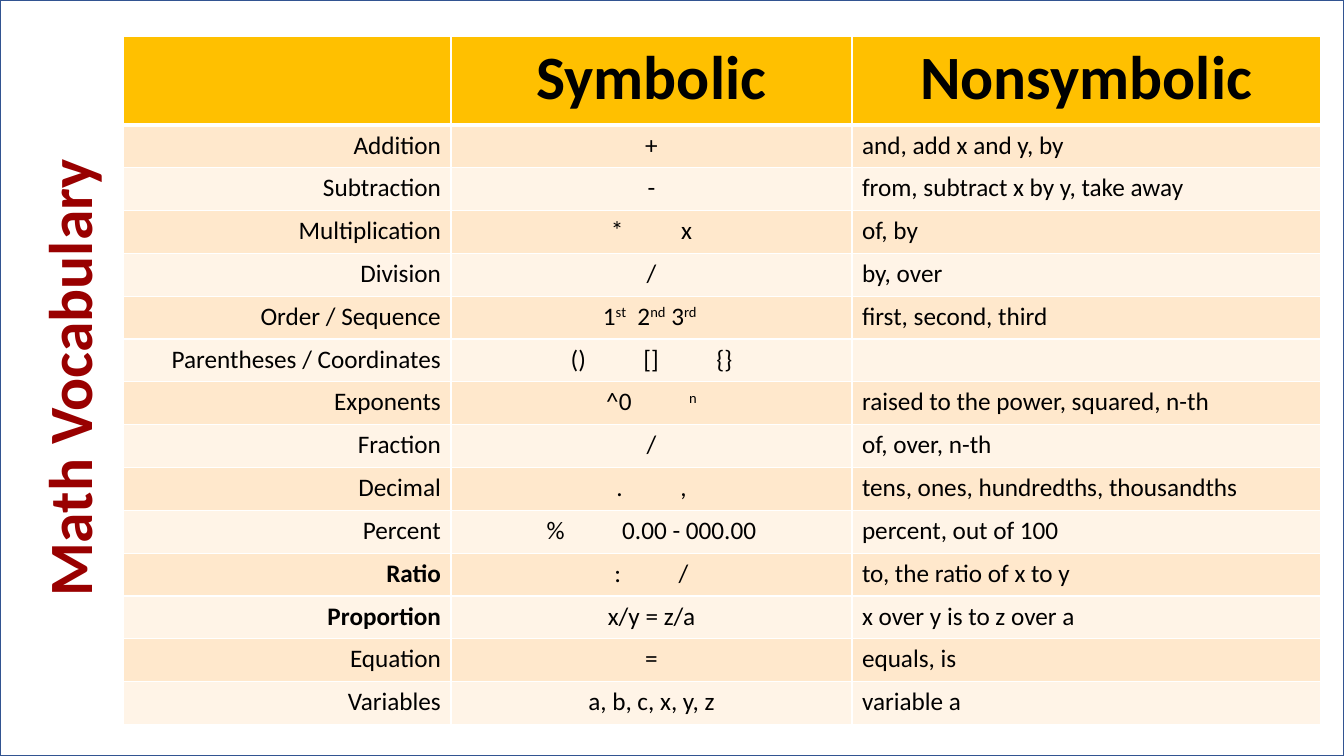
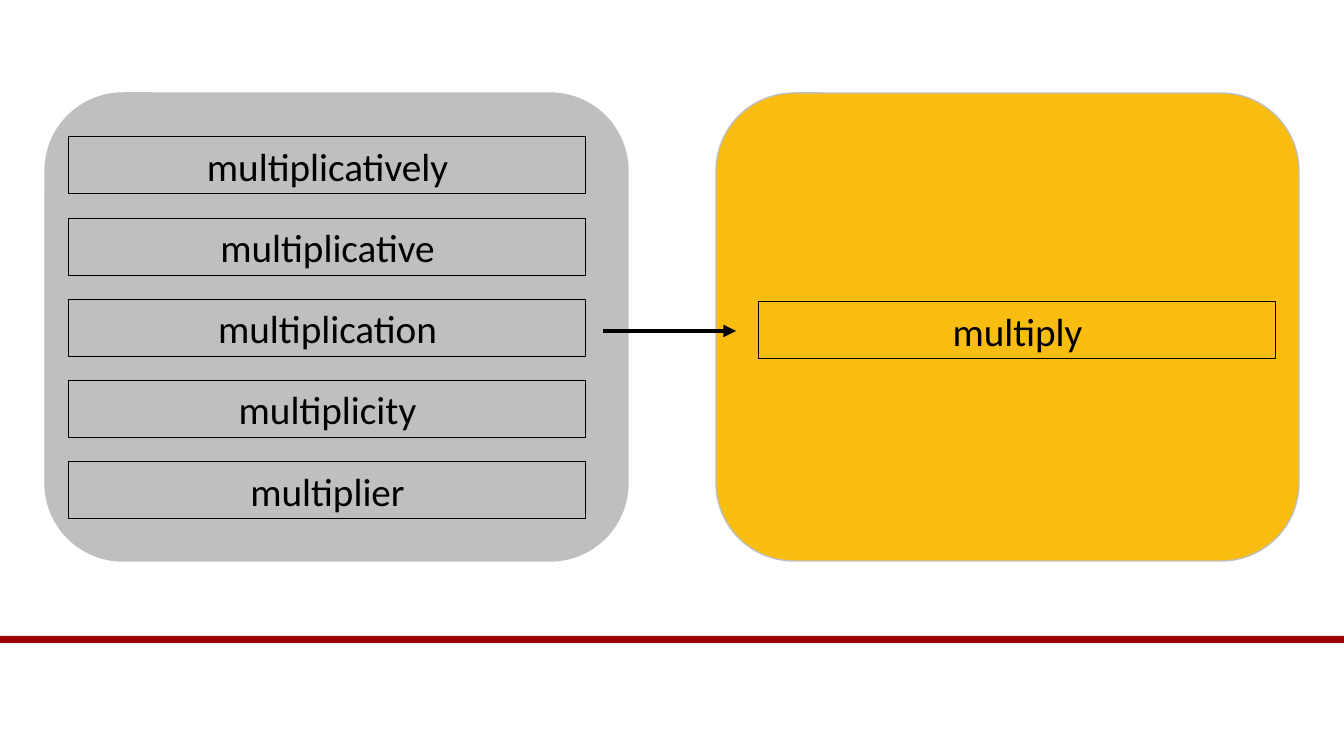
"""Builds a two-slide deck on mathematical vocabulary."""
import lxml.etree
import pptx
import pptx.dml.color
import pptx.enum.shapes
import pptx.enum.text
import pptx.oxml.ns
import pptx.util

EMU_PER_PX = 914400 / 100.8
SLIDE_WIDTH, SLIDE_HEIGHT = 1344, 756
FONT = "Calibri"
COLORS = {
    "red": "990000",
    "white": "FFFFFF",
    "black": "000000",
    "frame": "325491",
    "header": "FFC000",
    "band_dark": "FFE8CC",
    "band_light": "FFF4E7",
    "gray": "BFBFBF",
    "gold": "F9BC11",
}
ALIGN = pptx.enum.text.PP_ALIGN
SHAPE = pptx.enum.shapes.MSO_SHAPE

GAP = (" ", {"spacing": 37})
SMALL_GAP = (" ", {"spacing": 4})
RAISED = {"baseline": 30}
BOLD = {"bold": True}

HEADINGS = ["", "Symbolic", "Nonsymbolic"]
VOCABULARY = [
    ("Addition", "+", "and, add x and y, by"),
    ("Subtraction", "-", "from, subtract x by y, take away"),
    ("Multiplication", ["*", GAP, "x"], "of, by"),
    ("Division", "/", "by, over"),
    ("Order / Sequence",
     ["1", ("st", RAISED), SMALL_GAP, "2", ("nd", RAISED), " 3", ("rd ", RAISED)],
     "first, second, third"),
    ("Parentheses / Coordinates", ["()", GAP, "[]", GAP, "{}"], ""),
    ("Exponents", ["^0", GAP, ("n", RAISED)], "raised to the power, squared, n-th"),
    ("Fraction", "/", "of, over, n-th"),
    ("Decimal", [".", GAP, ","], "tens, ones, hundredths, thousandths"),
    ("Percent", ["%", GAP, "0.00 - 000.00"], "percent, out of 100"),
    ([("Ratio", BOLD)], [":", GAP, "/"], "to, the ratio of x to y"),
    ([("Proportion", BOLD)], "x/y = z/a", "x over y is to z over a"),
    ("Equation", "=", "equals, is"),
    ("Variables", "a, b, c, x, y, z", "variable a"),
]
WORD_FAMILY = ["multiplicatively", "multiplicative", "multiplication",
               "multiplicity", "multiplier"]


def px(length):
    """Turn a length in px into EMU."""
    return pptx.util.Emu(round(length * EMU_PER_PX))


def rgb(name):
    """Look up a named colour."""
    return pptx.dml.color.RGBColor.from_string(COLORS[name])


def add_child(parent, tag, **attributes):
    """Append a DrawingML element to a parent element."""
    return lxml.etree.SubElement(parent, pptx.oxml.ns.qn(tag), attributes)


def add_run(paragraph, text, size=18, color="black", bold=False, baseline=0, spacing=0):
    """Append one formatted run to a paragraph."""
    run = paragraph.add_run()
    run.text = text
    run.font.name = FONT
    run.font.size = pptx.util.Pt(size)
    run.font.bold = bold
    run.font.color.rgb = rgb(color)
    properties = run._r.get_or_add_rPr()
    if baseline:
        properties.set("baseline", str(baseline * 1000))
    if spacing:
        properties.set("spc", str(spacing * 100))


def write_text(text_frame, content, align=ALIGN.CENTER, **text_format):
    """Fill the first paragraph with a string or a list of runs."""
    paragraph = text_frame.paragraphs[0]
    paragraph.alignment = align
    for part in [content] if isinstance(content, str) else content:
        text, changes = (part, {}) if isinstance(part, str) else part
        if text:
            add_run(paragraph, text, **{**text_format, **changes})
    return paragraph


def add_block(slide, kind, box, fill, line=None):
    """Add a filled preset shape with an optional thin outline."""
    shape = slide.shapes.add_shape(kind, *map(px, box))
    shape.shadow.inherit = False
    shape.fill.solid()
    shape.fill.fore_color.rgb = rgb(fill)
    if line:
        shape.line.color.rgb = rgb(line)
        shape.line.width = pptx.util.Pt(1)
    else:
        shape.line.fill.background()
    return shape


def add_word(slide, word, left, top):
    """Add an outlined box with one centred word."""
    shape = slide.shapes.add_textbox(*map(px, (left, top, 517, 57)))
    shape.line.color.rgb = rgb("black")
    shape.line.width = pptx.util.Pt(0.75)
    shape.text_frame.word_wrap = True
    write_text(shape.text_frame, word, size=28)


def add_arrow(slide, left, right, y):
    """Add a horizontal arrow pointing right."""
    connector = slide.shapes.add_connector(
        pptx.enum.shapes.MSO_CONNECTOR.STRAIGHT, px(left), px(y), px(right), px(y))
    connector.line.color.rgb = rgb("black")
    connector.line.width = pptx.util.Pt(3)
    add_child(connector.get_or_add_ln(), "a:tailEnd", type="triangle")
    add_child(connector.element.spPr, "a:effectLst")


def set_borders(cell, **widths):
    """Draw white cell borders, 1 pt wide unless a side says otherwise."""
    properties = cell._tc.get_or_add_tcPr()
    for side in "LRTB":
        width = pptx.util.Pt(widths.get(side, 1))
        line = add_child(properties, "a:ln" + side, w=str(width))
        add_child(add_child(line, "a:solidFill"), "a:srgbClr", val=COLORS["white"])


def fill_cell(cell, content, fill, align, borders, **text_format):
    """Set the borders, fill and text of a table cell."""
    set_borders(cell, **borders)
    cell.fill.solid()
    cell.fill.fore_color.rgb = rgb(fill)
    write_text(cell.text_frame, content, align=align, **text_format)


def add_vocabulary_table(slide):
    """Add the table of operations with their symbols and words."""
    widths, header_height, body_height = [328, 401, 469], 89, 600
    frame = slide.shapes.add_table(
        len(VOCABULARY) + 1, len(widths), px(123), px(36),
        px(sum(widths)), px(header_height + body_height))
    table = frame.table
    table.first_row = table.horz_banding = False
    for column, width in zip(table.columns, widths):
        column.width = px(width)
    for row in table.rows:
        row.height = px(body_height / len(VOCABULARY))
    table.rows[0].height = px(header_height)
    for column, heading in enumerate(HEADINGS):
        fill_cell(table.cell(0, column), heading, "header", ALIGN.CENTER, {"B": 3},
                  size=44, bold=True)
    for row, entry in enumerate(VOCABULARY, 1):
        fill = "band_dark" if row % 2 else "band_light"
        borders = {"T": 3} if row == 1 else {}
        for column, align in enumerate([ALIGN.RIGHT, ALIGN.CENTER, ALIGN.LEFT]):
            fill_cell(table.cell(row, column), entry[column], fill, align, borders)


def add_master_band(presentation, slide):
    """Put the red band on the slide master."""
    band = add_block(slide, SHAPE.RECTANGLE, (0, 636, SLIDE_WIDTH, 7), "red")
    band.element.nvSpPr.cNvPr.set("id", "100")
    presentation.slide_master.shapes.element.append(band.element)


def set_side_title(slide, text):
    """Turn the title upright along the left edge."""
    title = slide.shapes.title
    title.left, title.top, title.width, title.height = map(px, (-305, 305, SLIDE_HEIGHT, 146))
    title.rotation = 270
    title.text_frame.vertical_anchor = pptx.enum.text.MSO_ANCHOR.MIDDLE
    title.text_frame.auto_size = pptx.enum.text.MSO_AUTO_SIZE.NONE
    paragraph = write_text(title.text_frame, text, size=44, color="red", bold=True)
    paragraph.line_spacing = 0.9


def build_vocabulary_slide(slide):
    """Build the slide with the vocabulary table."""
    backdrop = add_block(slide, SHAPE.RECTANGLE, (0, 0, SLIDE_WIDTH, SLIDE_HEIGHT),
                         "white", "frame")
    slide.shapes.element.insert(2, backdrop.element)
    set_side_title(slide, "Math Vocabulary")
    add_vocabulary_table(slide)


def build_word_family_slide(slide):
    """Build the slide that leads from a word family to its root."""
    for left, fill in [(716, "gold"), (45, "gray")]:
        add_block(slide, SHAPE.ROUNDED_RECTANGLE, (left, 93, 583, 468), fill, "gray")
    add_word(slide, "multiply", 759, 302)
    add_arrow(slide, 603, 736, 331)
    first_top, last_top = 137, 462
    pitch = (last_top - first_top) / (len(WORD_FAMILY) - 1)
    for index, word in enumerate(WORD_FAMILY):
        add_word(slide, word, 69, first_top + index * pitch)


def main():
    """Build and save the presentation."""
    presentation = pptx.Presentation()
    presentation.slide_width = px(SLIDE_WIDTH)
    presentation.slide_height = px(SLIDE_HEIGHT)
    title_only, blank = presentation.slide_layouts[5], presentation.slide_layouts[6]
    vocabulary_slide = presentation.slides.add_slide(title_only)
    add_master_band(presentation, vocabulary_slide)
    build_vocabulary_slide(vocabulary_slide)
    build_word_family_slide(presentation.slides.add_slide(blank))
    presentation.save("out.pptx")


if __name__ == "__main__":
    main()
